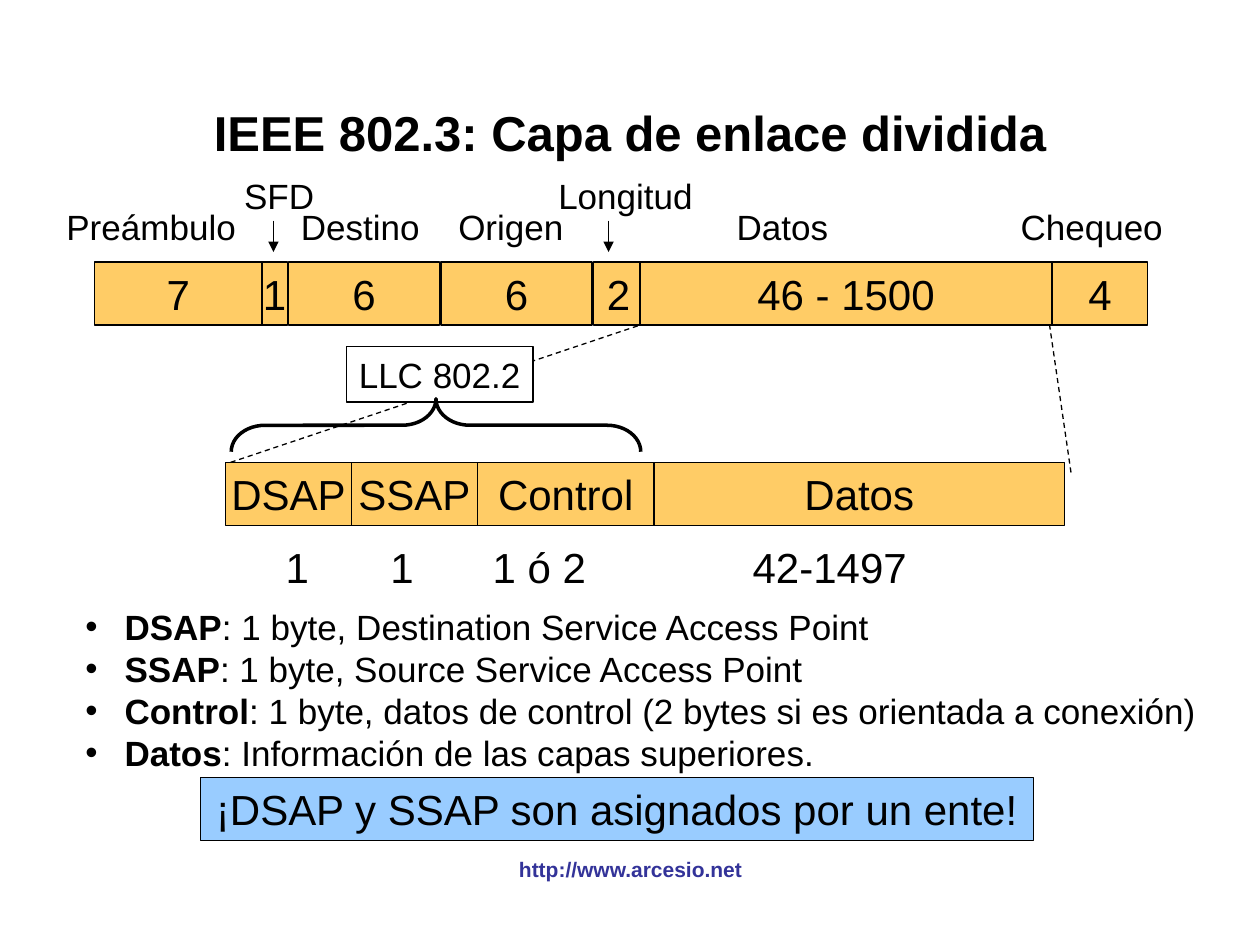
from dataclasses import dataclass

from lxml import etree
from pptx import Presentation
from pptx.dml.color import RGBColor
from pptx.enum.dml import MSO_LINE
from pptx.enum.shapes import MSO_CONNECTOR, MSO_SHAPE
from pptx.enum.text import MSO_ANCHOR, PP_ALIGN
from pptx.oxml.ns import qn
from pptx.util import Inches, Pt

RECTANGLE = MSO_SHAPE.RECTANGLE
LEFT_BRACE = MSO_SHAPE.LEFT_BRACE
STRAIGHT = MSO_CONNECTOR.STRAIGHT
DASH = MSO_LINE.DASH
MIDDLE = MSO_ANCHOR.MIDDLE
CENTER = PP_ALIGN.CENTER
LEFT = PP_ALIGN.LEFT


@dataclass(frozen=True)
class Theme:
    font: str = "Arial"
    ink: RGBColor = RGBColor(0x00, 0x00, 0x00)
    paper: RGBColor = RGBColor(0xFF, 0xFF, 0xFF)
    field: RGBColor = RGBColor(0xFF, 0xCC, 0x66)
    notice: RGBColor = RGBColor(0x99, 0xCC, 0xFF)
    link: RGBColor = RGBColor(0x33, 0x33, 0x99)
    title: int = 28
    value: int = 24
    label: int = 20
    footer: int = 12
    thin: float = 0.75
    thick: float = 2


@dataclass(frozen=True)
class Item:
    """A piece of text with its horizontal place in a row, in inches."""
    text: str
    left: float
    width: float


THEME = Theme()
ROW_HEIGHT = 0.5
LABEL_HEIGHT = 0.44
FRAME_TOP = 2.08
LLC_TOP = 3.67

FRAME_FIELDS = [
    Item("7", 0.75, 1.33), Item("1", 2.08, 0.2), Item("6", 2.29, 1.2),
    Item("6", 3.5, 1.2), Item("2", 4.71, 0.4), Item("46 - 1500", 5.08, 3.27),
    Item("4", 8.35, 0.76),
]
FRAME_LABELS = [
    Item("Preámbulo", 0.42, 1.56), Item("Destino", 2.29, 1.14),
    Item("Origen", 3.54, 1.03), Item("Datos", 5.75, 0.92),
    Item("Chequeo", 8, 1.33),
]
RAISED_LABELS = [Item("SFD", 1.84, 0.75), Item("Longitud", 4.33, 1.27)]
LLC_FIELDS = [
    Item("DSAP", 1.79, 1), Item("SSAP", 2.79, 1),
    Item("Control", 3.79, 1.4), Item("Datos", 5.19, 3.26),
]
LLC_SIZES = [
    Item("1", 2.17, 0.38), Item("1", 3, 0.38),
    Item("1 ó 2", 3.81, 0.94), Item("42-1497", 5.42, 2.33),
]
DEFINITIONS = [
    ("DSAP", ": 1 byte, Destination Service Access Point"),
    ("SSAP", ": 1 byte, Source Service Access Point"),
    ("Control", ": 1 byte, datos de control (2 bytes si es orientada a conexión)"),
    ("Datos", ": Información de las capas superiores."),
]


def write(paragraph, text: str, *, size: float, bold: bool = False,
          color: RGBColor = THEME.ink, align: PP_ALIGN = CENTER) -> None:
    paragraph.alignment = align
    run = paragraph.add_run()
    run.text = text
    run.font.name = THEME.font
    run.font.size = Pt(size)
    run.font.bold = bold
    run.font.color.rgb = color


def add_label(slide, item: Item, top: float, height: float, *,
              size: float = THEME.label, bold: bool = False,
              color: RGBColor = THEME.ink) -> None:
    """Centred one-line text; no side margins, so narrow boxes keep it whole."""
    box = slide.shapes.add_textbox(Inches(item.left), Inches(top),
                                   Inches(item.width), Inches(height))
    frame = box.text_frame
    frame.word_wrap = False
    frame.margin_left = frame.margin_right = 0
    frame.vertical_anchor = MIDDLE
    write(frame.paragraphs[0], item.text, size=size, bold=bold, color=color)


def add_block(slide, item: Item, top: float, height: float = ROW_HEIGHT, *,
              fill: RGBColor = THEME.field, size: float = THEME.value) -> None:
    block = slide.shapes.add_shape(RECTANGLE, Inches(item.left), Inches(top),
                                   Inches(item.width), Inches(height))
    block.shadow.inherit = False
    block.fill.solid()
    block.fill.fore_color.rgb = fill
    block.line.color.rgb = THEME.ink
    block.line.width = Pt(THEME.thin)
    block.text_frame.word_wrap = False
    block.text_frame.vertical_anchor = MIDDLE
    write(block.text_frame.paragraphs[0], item.text, size=size)


def add_line(slide, start: tuple[float, float], end: tuple[float, float], *,
             dashed: bool = False, arrow: bool = False) -> None:
    line = slide.shapes.add_connector(STRAIGHT, *map(Inches, start + end))
    line.line.color.rgb = THEME.ink
    line.line.width = Pt(THEME.thin)
    if dashed:
        line.line.dash_style = DASH
    if arrow:
        etree.SubElement(line.line._get_or_add_ln(), qn("a:tailEnd"), type="triangle")
    etree.SubElement(line._element.spPr, qn("a:effectLst"))


def add_brace(slide) -> None:
    """Left brace turned to point up at the LLC label."""
    brace = slide.shapes.add_shape(LEFT_BRACE, Inches(3.25), Inches(1.75),
                                   Inches(0.42), Inches(3.25))
    brace.rotation = 90
    brace.adjustments[0] = 0.64
    brace.shadow.inherit = False
    brace.fill.background()
    brace.line.color.rgb = THEME.ink
    brace.line.width = Pt(THEME.thick)


def add_definitions(slide) -> None:
    box = slide.shapes.add_textbox(Inches(0.58), Inches(4.75), Inches(9.12), Inches(1.44))
    frame = box.text_frame
    frame.word_wrap = True
    frame.vertical_anchor = MIDDLE
    for index, (term, meaning) in enumerate(DEFINITIONS):
        paragraph = frame.paragraphs[0] if index == 0 else frame.add_paragraph()
        properties = paragraph._p.get_or_add_pPr()
        properties.set("marL", str(Inches(0.31)))
        properties.set("indent", str(-Inches(0.31)))
        etree.SubElement(properties, qn("a:buFont"), typeface=THEME.font)
        etree.SubElement(properties, qn("a:buChar"), char="•")
        paragraph.line_spacing = Pt(24)
        write(paragraph, term, size=THEME.label, bold=True, align=LEFT)
        write(paragraph, meaning, size=THEME.label, align=LEFT)


def main() -> None:
    presentation = Presentation()
    presentation.slide_width = Inches(10)
    presentation.slide_height = Inches(7.5)
    slide = presentation.slides.add_slide(presentation.slide_layouts[6])

    add_label(slide, Item("IEEE 802.3: Capa de enlace dividida", 0.75, 8.5), 0.65, 0.8,
              size=THEME.title, bold=True)

    for label in FRAME_LABELS:
        add_label(slide, label, 1.58, LABEL_HEIGHT)
    for label in RAISED_LABELS:
        add_label(slide, label, 1.33, LABEL_HEIGHT)
    for field in FRAME_FIELDS:
        add_block(slide, field, FRAME_TOP)
    for arrow_x in (2.17, 4.83):
        add_line(slide, (arrow_x, 1.75), (arrow_x, 2), arrow=True)

    for field in LLC_FIELDS:
        add_block(slide, field, LLC_TOP)
    for size in LLC_SIZES:
        add_label(slide, size, 4.25, ROW_HEIGHT, size=THEME.value)

    frame_bottom = FRAME_TOP + ROW_HEIGHT
    add_line(slide, (1.83, LLC_TOP), (5.08, frame_bottom), dashed=True)
    add_line(slide, (8.5, 3.75), (8.33, frame_bottom), dashed=True)
    add_block(slide, Item("LLC 802.2", 2.75, 1.48), 2.75, LABEL_HEIGHT,
              fill=THEME.paper, size=THEME.label)
    add_brace(slide)

    add_definitions(slide)
    add_block(slide, Item("¡DSAP y SSAP son asignados por un ente!", 1.59, 6.61), 6.17,
              fill=THEME.notice)
    add_label(slide, Item("http://www.arcesio.net", 3.42, 3.17), 6.75, 0.3,
              size=THEME.footer, bold=True, color=THEME.link)

    presentation.save("out.pptx")


if __name__ == "__main__":
    main()
